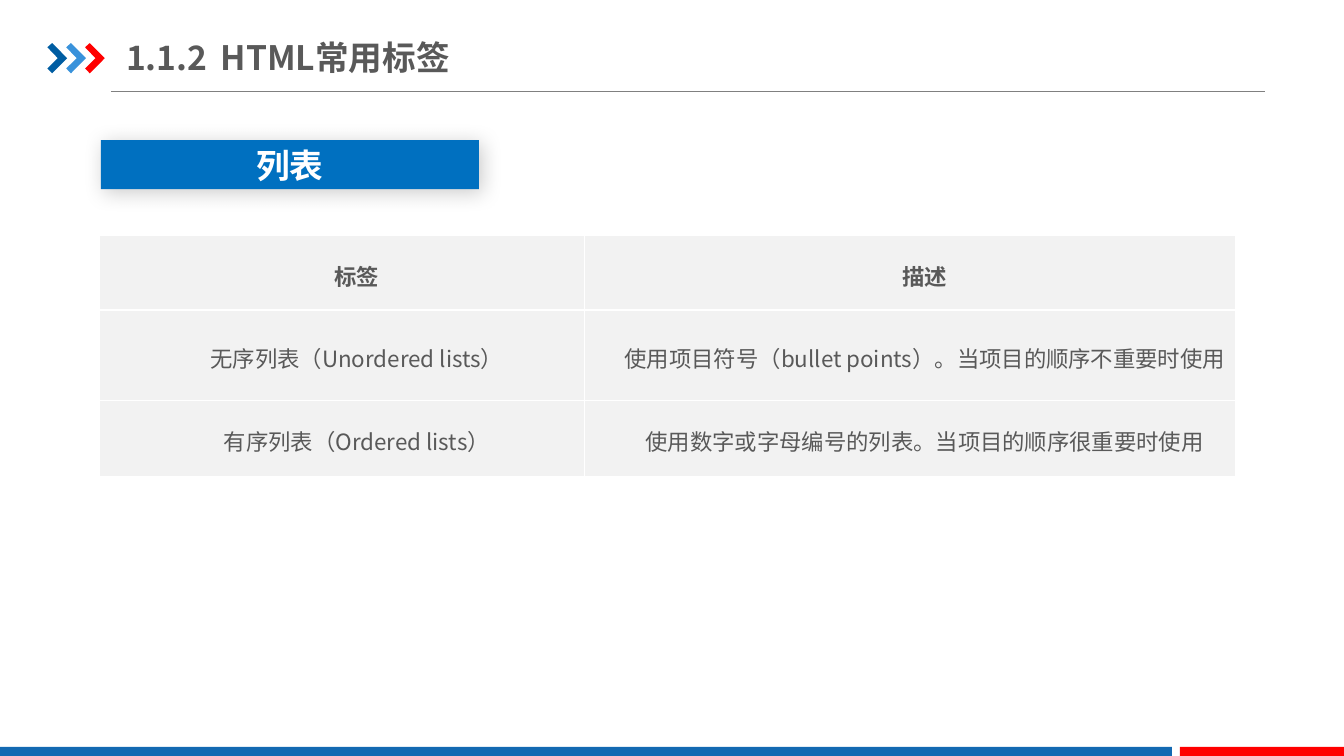
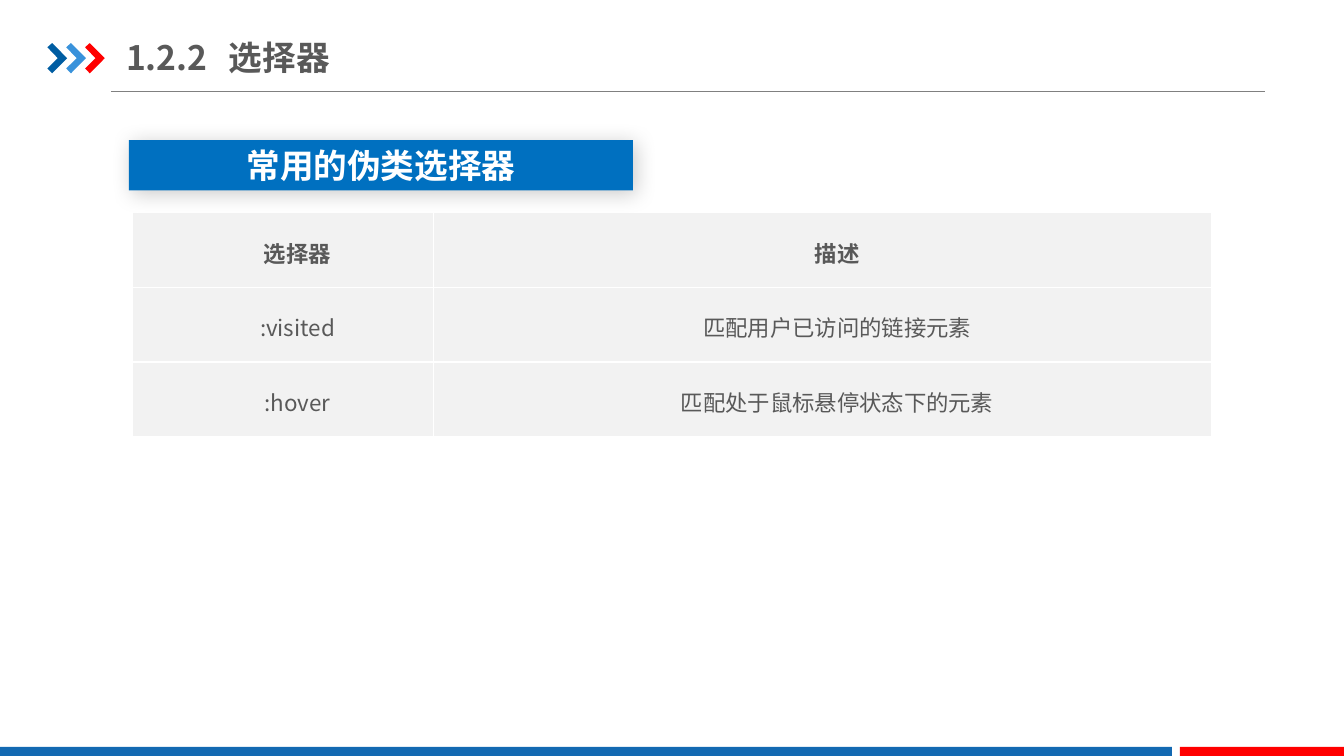
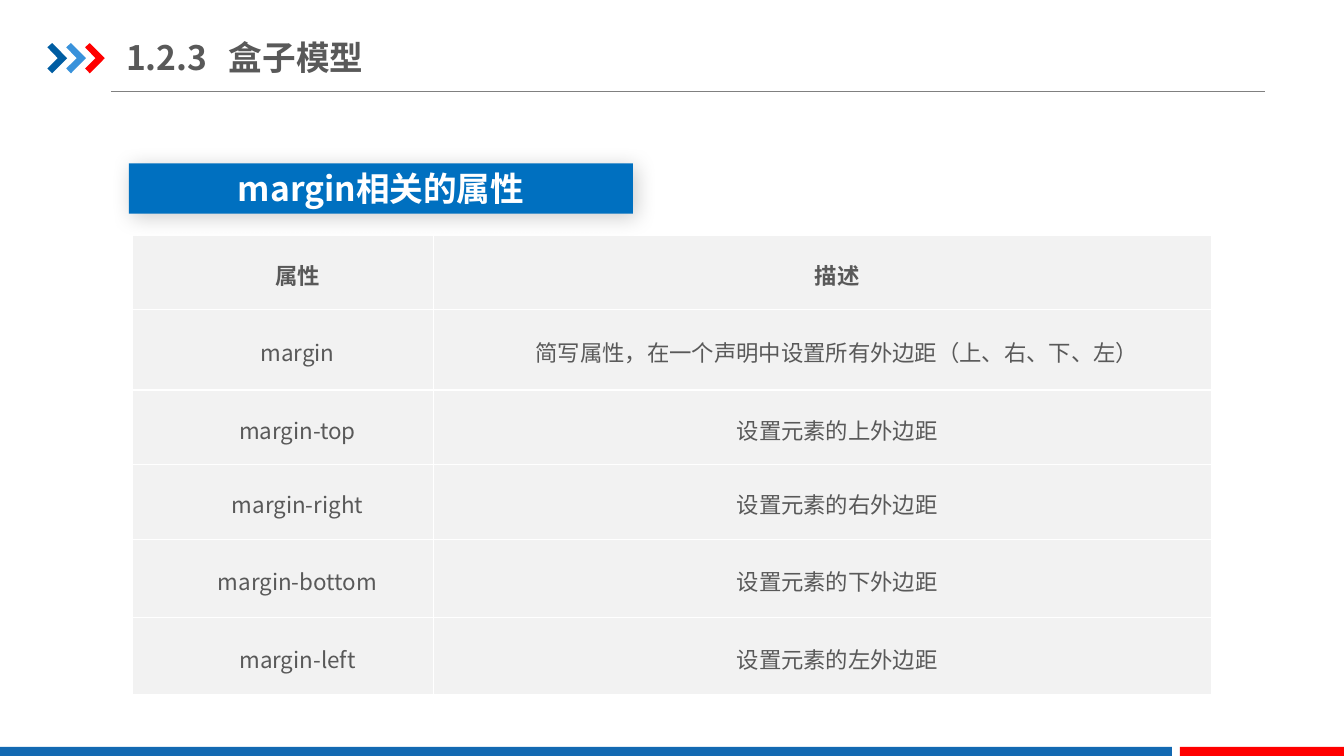
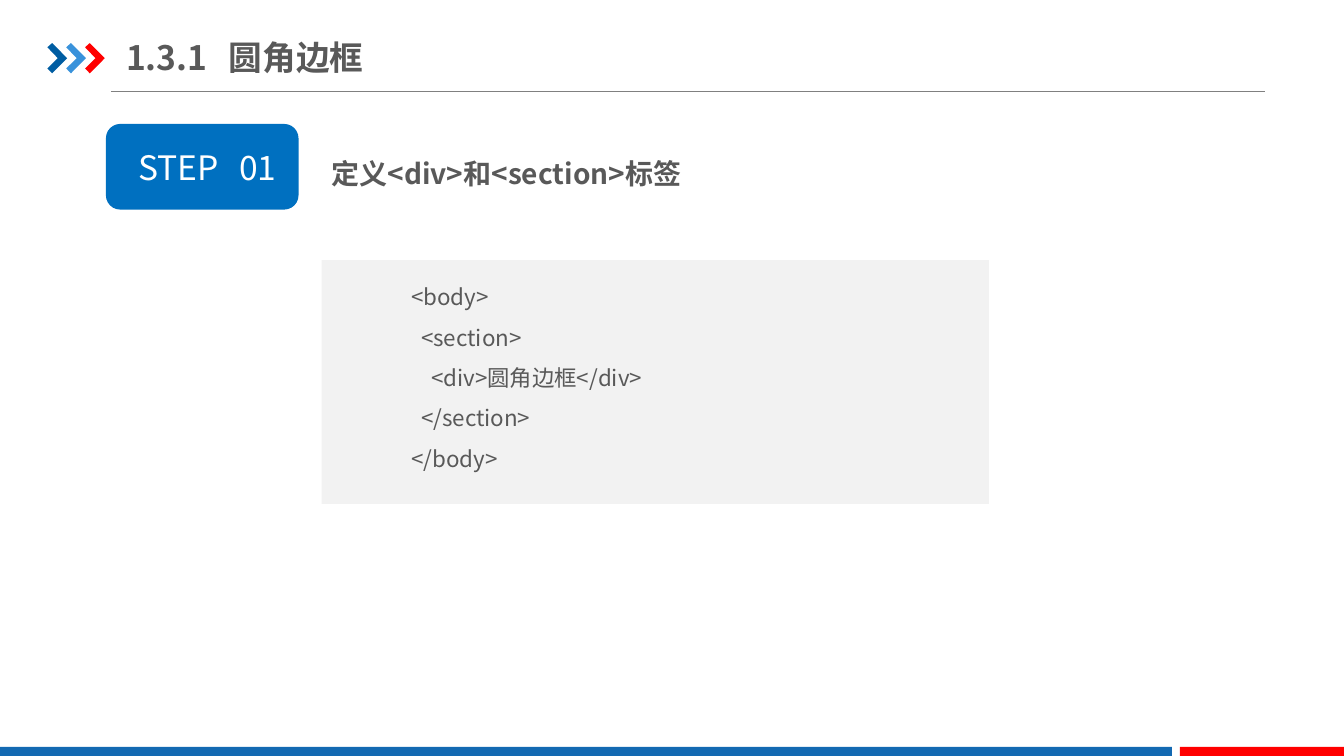
from lxml import etree
from pptx import Presentation
from pptx.dml.color import RGBColor
from pptx.enum.shapes import MSO_CONNECTOR, MSO_SHAPE
from pptx.enum.text import MSO_ANCHOR, PP_ALIGN
from pptx.oxml.ns import qn
from pptx.util import Emu, Inches, Pt

RECT, ROUND = MSO_SHAPE.RECTANGLE, MSO_SHAPE.ROUNDED_RECTANGLE
STRAIGHT = MSO_CONNECTOR.STRAIGHT
LEFT, CENTER = PP_ALIGN.LEFT, PP_ALIGN.CENTER
TOP, MIDDLE = MSO_ANCHOR.TOP, MSO_ANCHOR.MIDDLE

W, H = Inches(13.333), Inches(7.5)
FONT = "Noto Sans CJK SC"
COLORS = {
    "band": "1369B2", "red": "FF0000", "rule": "808080",
    "navy": "005DA2", "sky": "3992DB", "blue": "0070C0",
    "text": "595959", "panel": "F2F2F2", "white": "FFFFFF",
    "shadow": "000000",
}
CHEVRON = [(0, 0.14), (0.24, 0), (1, 0.5), (0.24, 1), (0, 0.84), (0.53, 0.5)]


def color(name):
    return RGBColor.from_string(COLORS[name])


def px(share):
    return Emu(round(W * share / 100))


def py(share):
    return Emu(round(H * share / 100))


def box(x, y, w, h):
    return px(x), py(y), px(w), py(h)


def add_xml(parent, tag, **attrs):
    return etree.SubElement(parent, qn(tag), {k: str(v) for k, v in attrs.items()})


def add_color(parent, name):
    return add_xml(add_xml(parent, "a:solidFill"), "a:srgbClr", val=COLORS[name])


def write(tf, text, size=16, ink="text", bold=False, align=LEFT, anchor=TOP,
          spacing=None, indent=None, tab=None, inset=(0.1, 0.05), wrap=True):
    tf.word_wrap = wrap
    tf.vertical_anchor = anchor
    tf.margin_left = tf.margin_right = Inches(inset[0])
    tf.margin_top = tf.margin_bottom = Inches(inset[1])
    for i, line in enumerate(text.split("\n")):
        p = tf.add_paragraph() if i else tf.paragraphs[0]
        p.alignment = align
        if spacing:
            p.line_spacing = spacing
        pPr = p._p.get_or_add_pPr()
        if indent:
            pPr.set("marL", "0")
            pPr.set("indent", str(Inches(indent)))
        if tab:
            tabs = add_xml(pPr, "a:tabLst")
            add_xml(tabs, "a:tab", pos=Inches(tab), algn="l")
        r = p.add_run()
        r.text = line
        r.font.size, r.font.bold = Pt(size), bold
        r.font.color.rgb = color(ink)
        r.font.name = FONT
        add_xml(r._r.get_or_add_rPr(), "a:ea", typeface=FONT)


def paint(sp, fill):
    sp.shadow.inherit = False
    sp.fill.solid()
    sp.fill.fore_color.rgb = color(fill)
    sp.line.fill.background()
    return sp


def add_block(s, area, fill, kind=RECT):
    return paint(s.shapes.add_shape(kind, *box(*area)), fill)


def add_text(s, area, text, **fmt):
    write(s.shapes.add_textbox(*box(*area)).text_frame, text, **fmt)


def add_chevron(s, x, y, w, h, fill):
    points = [(px(x + w * u), py(y + h * v)) for u, v in CHEVRON]
    outline = s.shapes.build_freeform(*points[0], scale=1.0)
    outline.add_line_segments(points[1:], close=True)
    paint(outline.convert_to_shape(), fill)


def add_rule(s, x1, x2, y):
    line = s.shapes.add_connector(STRAIGHT, px(x1), py(y), px(x2), py(y))
    line.line.color.rgb = color("rule")
    line.line.width = Pt(0.75)
    add_xml(line._element.spPr, "a:effectLst")


def add_banner(s, area, text):
    sp = add_block(s, area, "blue")
    effects = sp._element.spPr.find(qn("a:effectLst"))
    shadow = add_xml(effects, "a:outerShdw", blurRad=Pt(15), dist=Pt(3),
                     dir=45 * 60000, algn="tl", rotWithShape=0)
    tint = add_xml(shadow, "a:srgbClr", val=COLORS["shadow"])
    add_xml(tint, "a:alpha", val=20000)
    write(sp.text_frame, text, size=24, ink="white", bold=True,
          align=CENTER, anchor=MIDDLE)


def add_grid(s, x, y, cols, rows, texts):
    frame = s.shapes.add_table(len(rows), len(cols),
                               *box(x, y, sum(cols), sum(rows)))
    table = frame.table
    table.first_row = table.horz_banding = False
    for col, share in zip(table.columns, cols):
        col.width = px(share)
    for i, (row, share) in enumerate(zip(table.rows, rows)):
        row.height = py(share)
        for cell, text in zip(row.cells, texts[i]):
            write(cell.text_frame, text, bold=i == 0, align=CENTER,
                  spacing=1.15, indent=0.29)
            cell.vertical_anchor = MIDDLE
            cell.margin_left = cell.margin_right = Inches(0.07)
            cell.margin_top = cell.margin_bottom = 0
            tcPr = cell._tc.get_or_add_tcPr()
            for side in ("a:lnL", "a:lnR", "a:lnT", "a:lnB"):
                add_color(add_xml(tcPr, side, w=Pt(1)), "white")
            cell.fill.solid()
            cell.fill.fore_color.rgb = color("panel")


def new_slide(prs, number, name, tab=1.02):
    s = prs.slides.add_slide(prs.slide_layouts[6])
    add_block(s, (0, 98.8, 87.2, 1.2), "band")
    add_block(s, (87.8, 98.8, 12.2, 1.2), "red")
    add_rule(s, 8.25, 94.13, 12.13)
    for i, fill in enumerate(("navy", "sky", "red")):
        add_chevron(s, 3.53 + 1.4 * i, 5.7, 1.47, 4, fill)
    add_text(s, (9.38, 3.87, 44, 7.33), f"{number}\t{name}", size=24, bold=True,
             anchor=MIDDLE, tab=tab, inset=(0, 0.07))
    return s


def main():
    prs = Presentation()
    prs.slide_width, prs.slide_height = W, H

    s = new_slide(prs, "1.1.2", "HTML常用标签", tab=0.94)
    add_banner(s, (7.5, 18.53, 28.13, 6.5), "列表")
    add_grid(s, 7.43, 31.2, (36.08, 48.45), (9.8, 12, 10), [
        ("标签", "描述"),
        ("无序列表（Unordered lists）",
         "使用项目符号（bullet points）。当项目的顺序不重要时使用"),
        ("有序列表（Ordered lists）",
         "使用数字或字母编号的列表。当项目的顺序很重要时使用"),
    ])

    narrow_wide = (22.43, 57.9)
    s = new_slide(prs, "1.2.2", "选择器")
    add_grid(s, 9.83, 28.1, narrow_wide, [9.9] * 3, [
        ("选择器", "描述"),
        (":visited", "匹配用户已访问的链接元素"),
        (":hover", "匹配处于鼠标悬停状态下的元素"),
    ])
    add_banner(s, (9.6, 18.53, 37.5, 6.67), "常用的伪类选择器")

    s = new_slide(prs, "1.2.3", "盒子模型")
    sides = [("top", "上"), ("right", "右"), ("bottom", "下"), ("left", "左")]
    add_grid(s, 9.83, 31.2, narrow_wide, (9.7, 10.7, 9.8, 9.95, 10.3, 10.3), [
        ("属性", "描述"),
        ("margin", "简写属性，在一个声明中设置所有外边距（上、右、下、左）"),
        *((f"margin-{side}", f"设置元素的{word}外边距") for side, word in sides),
    ])
    add_banner(s, (9.6, 21.6, 37.5, 6.67), "margin相关的属性")

    s = new_slide(prs, "1.3.1", "圆角边框")
    step = add_block(s, (7.88, 16.4, 14.33, 11.33), "blue", ROUND)
    write(step.text_frame, "STEP\t01", size=24, ink="white", anchor=MIDDLE,
          tab=1, inset=(0.28, 0.05), wrap=False)
    add_text(s, (23.93, 17.87, 69.83, 7.33), "定义<div>和<section>标签",
             size=20, bold=True, spacing=1.5)
    add_block(s, (23.93, 34.4, 49.65, 32.27), "panel")
    add_text(s, (29.85, 35.07, 20.55, 28.27), """<body>
  <section>
    <div>圆角边框</div>
  </section>
</body>""", spacing=1.5, wrap=False)

    prs.save("out.pptx")


if __name__ == "__main__":
    main()
